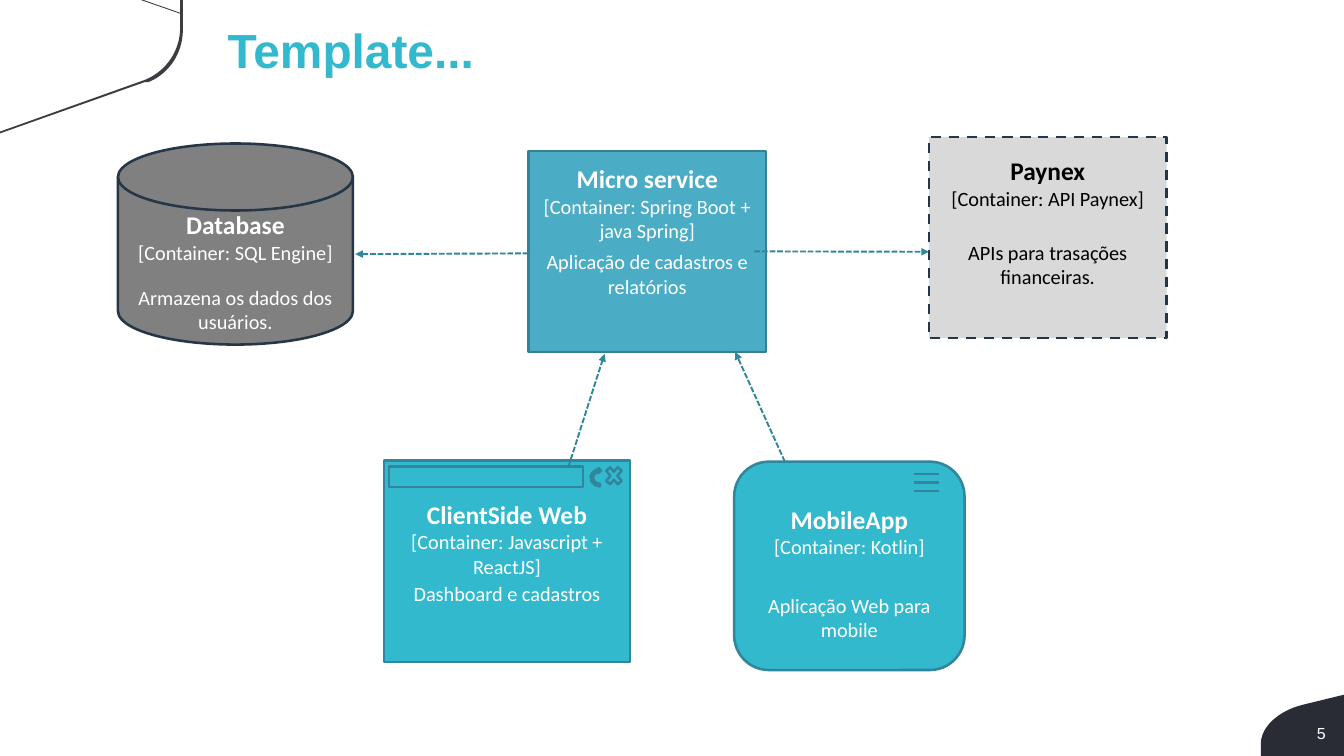
import lxml.etree
import pptx
import pptx.dml.color
import pptx.enum.dml
import pptx.enum.shapes
import pptx.enum.text
import pptx.oxml.ns
import pptx.util

SHAPE = pptx.enum.shapes.MSO_SHAPE
ALIGN = pptx.enum.text.PP_ALIGN
DASH = pptx.enum.dml.MSO_LINE
CELL = pptx.util.Inches(0.1)  # one square of the layout grid
COLUMNS, ROWS = 147, 82.7

TURQUOISE, TEAL, NAVY, WHITE = "32B9CD", "31859C", "253746", "FFFFFF"

# Containers as left, top, width, height in grid squares
DATABASE = (12.9, 15.7, 25.7, 22)
SERVICE = (57.8, 16.5, 26, 22)
PAYMENT = (101.6, 15, 26, 22)
WEB = (42, 50.4, 26.9, 22)
MOBILE = (80.3, 50.5, 25.2, 22.8)


def color(value):
    return pptx.dml.color.RGBColor.from_string(value)


def grid(*lengths):
    return [round(length * CELL) for length in lengths]


def point(box, across, down):
    left, top, width, height = box
    return left + width * across, top + height * down


def inside(box, left, top, width, height):
    return (*point(box, left, top), box[2] * width, box[3] * height)


def add_outlined(slide, kind, box, line, fill=None, dash=None):
    shape = slide.shapes.add_shape(kind, *grid(*box))
    shape.shadow.inherit = False
    if fill:
        shape.fill.solid()
        shape.fill.fore_color.rgb = color(fill)
    else:
        shape.fill.background()
    shape.line.color.rgb = color(line)
    shape.line.width = pptx.util.Pt(2)
    shape.line.dash_style = dash
    return shape


def add_run(paragraph, text, size, ink, bold=False, font="Calibri"):
    run = paragraph.add_run()
    run.text = text
    run.font.name, run.font.size, run.font.bold = font, pptx.util.Pt(size), bold
    run.font.color.rgb = color(ink)


def add_label(slide, box, lines, ink, align=ALIGN.CENTER, font="Calibri"):
    frame = slide.shapes.add_textbox(*grid(*box)).text_frame
    frame.word_wrap = True
    for index, (text, size, bold) in enumerate(lines):
        paragraph = frame.add_paragraph() if index else frame.paragraphs[0]
        paragraph.alignment = align
        add_run(paragraph, text, size, ink, bold, font)
    return frame


def add_line(slide, start, end, width=2, dash=None, arrow=False):
    connector = slide.shapes.add_connector(
        pptx.enum.shapes.MSO_CONNECTOR.STRAIGHT, *grid(*start, *end))
    connector.line.color.rgb = color(TEAL)
    connector.line.width = pptx.util.Pt(width)
    connector.line.dash_style = dash
    properties = connector.element.spPr
    qn = pptx.oxml.ns.qn
    if arrow:
        lxml.etree.SubElement(properties.find(qn("a:ln")), qn("a:tailEnd"), type="triangle")
    lxml.etree.SubElement(properties, qn("a:effectLst"))


def curve(start, first, second, end, steps=24):
    """Points of a cubic curve."""
    points = []
    for step in range(steps + 1):
        t = step / steps
        weights = ((1 - t) ** 3, 3 * t * (1 - t) ** 2, 3 * t * t * (1 - t), t ** 3)
        points.append(tuple(
            sum(weight * node[axis] for weight, node in zip(weights, (start, first, second, end)))
            for axis in (0, 1)))
    return points


def add_outline(slide, box, points, fill):
    corners = [grid(box[0] + x, box[1] + y) for x, y in points]
    builder = slide.shapes.build_freeform(*corners[0], scale=1.0)
    builder.add_line_segments(corners[1:], close=True)
    shape = builder.convert_to_shape()
    shape.shadow.inherit = False
    shape.fill.solid()
    shape.fill.fore_color.rgb = color(fill)
    shape.line.fill.background()


def draw_corner_ribbon(slide, box):
    outer = curve((16.2, 9), (18.5, 8.1), (20, 5.8), (20, 3.3))
    inner = curve((19.7, 3.3), (19.6, 5.7), (18.1, 7.9), (15.7, 8.8))
    notch = [(20, 0), (19.7, 0), (19.7, 1.4), (15.7, 0), (15.4, 0), (19.7, 1.5)]
    add_outline(slide, box, [(0, 14.6), (15.8, 9), *outer, *notch, *inner, (0, 14.4)], "3B3D42")


def draw_page_corner(slide, box):
    bend = curve((4.6, 1.1), (1.8, 1.8), (0, 3.6), (0, 5.4))
    add_outline(slide, box, [(9.1, 0), *bend, (0, 6.7), (9.1, 6.7)], "292C34")
    frame = add_label(slide, (box[0] + 0.4, box[1] + 3.1, 6.9, 2.3), [("5", 12.6, False)],
                      WHITE, ALIGN.RIGHT, "Arial")
    frame.margin_left = frame.margin_right = pptx.util.Inches(0.02)
    frame.margin_top = frame.margin_bottom = pptx.util.Inches(0.01)


def draw_title(slide, box):
    title = slide.shapes.title
    title.left, title.top, title.width, title.height = grid(*box)
    title.text_frame.vertical_anchor = pptx.enum.text.MSO_ANCHOR.MIDDLE
    paragraph = title.text_frame.paragraphs[0]
    paragraph.alignment = ALIGN.LEFT
    add_run(paragraph, "Template...", 37.7, TURQUOISE, True, "Arial")


def draw_container(slide, box, kind, fill, line, texts, drops, ink=WHITE, dash=None):
    """Box with a heading and a description, each dropped some rows from its top."""
    add_outlined(slide, kind, box, line, fill, dash)
    name, technology, description = texts
    heading_drop, description_drop = drops
    left, top, width, _ = box
    add_label(slide, (left, top + heading_drop, width, description_drop - heading_drop),
              [(name, 20, True), (technology, 16, False)], ink)
    add_label(slide, (left, top + description_drop, width, 6.3), [(description, 16, False)], ink)


def draw_browser_bar(slide, box):
    add_outlined(slide, SHAPE.RECTANGLE, inside(box, 0.02, 0.03, 0.79, 0.1), TEAL)
    add_outlined(slide, SHAPE.MATH_MULTIPLY, inside(box, 0.89, 0.01, 0.09, 0.13), TEAL)
    reload = add_outlined(slide, SHAPE.CIRCULAR_ARROW, inside(box, 0.84, 0.03, 0.08, 0.11), TEAL)
    reload.rotation = 274.1
    for index, value in enumerate((0.125, 11.42, 204.58, 108, 0.125)):
        reload.adjustments[index] = value


def draw_menu_icon(slide, box):
    for bar in range(3):
        down = 0.06 + 0.04 * bar
        add_line(slide, point(box, 0.78, down), point(box, 0.89, down))


def draw_arrows(slide):
    for start, end in (
        (point(SERVICE, 0, 0.51), point(DATABASE, 1.01, 0.55)),
        (point(SERVICE, 0.95, 0.5), point(PAYMENT, 0, 0.57)),
        (point(WEB, 0.75, 0.03), point(SERVICE, 0.32, 1.01)),
        (point(MOBILE, 0.22, 0), point(SERVICE, 0.87, 1)),
    ):
        add_line(slide, start, end, 1.5, DASH.SQUARE_DOT, arrow=True)


presentation = pptx.Presentation()
presentation.slide_width, presentation.slide_height = grid(COLUMNS, ROWS)
slide = presentation.slides.add_slide(presentation.slide_layouts[5])

# Page frame
draw_page_corner(slide, (COLUMNS - 9.1, ROWS - 6.7, 9.1, 6.7))
draw_corner_ribbon(slide, (0, 0, 20, 14.6))
draw_title(slide, (23.9, 1.2, 117.9, 8.4))

# Containers
draw_container(slide, DATABASE, SHAPE.FLOWCHART_MAGNETIC_DISK, "808080", NAVY,
               ("Database", "[Container: SQL Engine]", "Armazena os dados dos usuários."),
               (6.7, 15))
draw_container(slide, SERVICE, SHAPE.RECTANGLE, "4BACC6", "377F92",
               ("Micro service", "[Container: Spring Boot + java Spring]",
                "Aplicação de cadastros e relatórios"), (0.9, 10.3))
draw_container(slide, PAYMENT, SHAPE.RECTANGLE, "D9D9D9", NAVY,
               ("Paynex", "[Container: API Paynex]", "APIs para trasações financeiras."),
               (1.5, 10.8), "000000", DASH.DASH)
draw_container(slide, WEB, SHAPE.RECTANGLE, TURQUOISE, TEAL,
               ("ClientSide Web", "[Container: Javascript + ReactJS]", "Dashboard e cadastros"),
               (3.7, 12.7))
draw_browser_bar(slide, WEB)
draw_container(slide, MOBILE, SHAPE.ROUNDED_RECTANGLE, TURQUOISE, TEAL,
               ("MobileApp", "[Container: Kotlin]", "Aplicação Web para mobile"), (4.1, 13.9))
draw_menu_icon(slide, MOBILE)

# Relations
draw_arrows(slide)

presentation.save("out.pptx")
